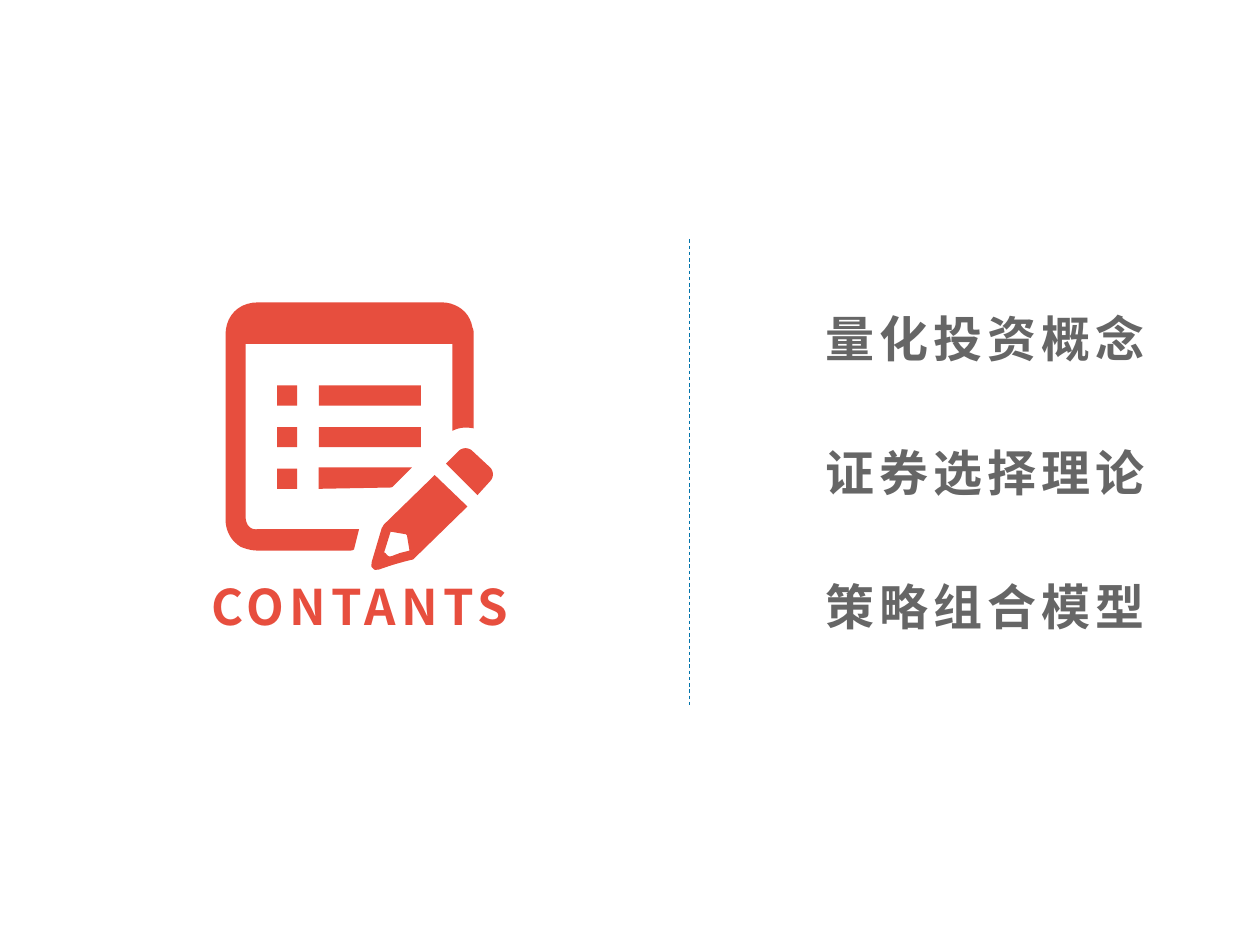
from lxml.etree import SubElement
from pptx import Presentation
from pptx.dml.color import RGBColor
from pptx.enum.dml import MSO_LINE
from pptx.enum.shapes import MSO_CONNECTOR, MSO_SHAPE
from pptx.enum.text import MSO_AUTO_SIZE, PP_ALIGN
from pptx.oxml.ns import qn
from pptx.util import Inches, Pt

COLORS = {"accent": "E74E3E", "text": "666666", "divider": "0174AB"}
FONT = "Noto Sans CJK SC"
TITLE = "CONTANTS"
TOPICS = ["量化投资概念", "证券选择理论", "策略组合模型"]

LABEL_WIDTH, LABEL_HEIGHT = 2.91, 0.57
TITLE_LEFT, TOPIC_LEFT = 1.4, 6.45
FIRST_TOP, TOPIC_PITCH = 2.4, 1.065
DIVIDER_X, DIVIDER_TOP, DIVIDER_BOTTOM = 5.47, 1.9, 5.6

# Icon list: bullet and bar share a row; the third bar is cut off by the pencil.
BULLET_LEFT, BAR_LEFT, BAR_WIDTH, MARK_SIZE = 2.2, 2.53, 0.81, 0.16
ROW_TOP, ROW_PITCH = 3.06, 0.33

# Outlines in inches: a pair is a corner, six numbers are a cubic curve.
PAGE = [
    (2.85, 4.2), (2.81, 4.36), (2.81, 4.36, 2.8, 4.37, 2.78, 4.37), (2.05, 4.37),
    (2, 4.37, 1.96, 4.36, 1.91, 4.34), (1.83, 4.29, 1.79, 4.21, 1.79, 4.12),
    (1.79, 2.66), (1.79, 2.51, 1.89, 2.4, 2.05, 2.4), (3.5, 2.4),
    (3.63, 2.4, 3.73, 2.48, 3.75, 2.6), (3.76, 2.62, 3.76, 2.64, 3.76, 2.66),
    (3.76, 3.4), (3.7, 3.39, 3.65, 3.39, 3.59, 3.42), (3.59, 2.73), (1.95, 2.73),
    (1.95, 4.1), (1.95, 4.16, 1.98, 4.21, 2.05, 4.2),
]
PENCIL = [
    (3.45, 3.77), (3.71, 4.02), (3.31, 4.41), (3.3, 4.42, 3.29, 4.43, 3.28, 4.44),
    (3.19, 4.46, 3.09, 4.49, 3.01, 4.52), (2.99, 4.52, 2.97, 4.53, 2.96, 4.51),
    (2.94, 4.5, 2.95, 4.48, 2.95, 4.46), (3.03, 4.19),
    (3.04, 4.18, 3.04, 4.17, 3.05, 4.16),
]
PENCIL_TIP = [
    (3.1, 4.22), (3.05, 4.38), (3.05, 4.38, 3.05, 4.39, 3.06, 4.39),
    (3.08, 4.42, 3.09, 4.42, 3.12, 4.41), (3.14, 4.4, 3.15, 4.4, 3.17, 4.39),
    (3.25, 4.37), (3.23, 4.25), (3.22, 4.24),
]
ERASER = [
    (3.54, 3.68), (3.64, 3.58), (3.67, 3.55, 3.72, 3.55, 3.75, 3.58), (3.89, 3.71),
    (3.92, 3.74, 3.92, 3.79, 3.89, 3.82), (3.79, 3.93),
]
CUT_BAR = [
    (2.53, 3.71), (3.27, 3.71), (3.12, 3.86), (3.11, 3.87, 3.1, 3.87, 3.09, 3.87),
    (2.53, 3.88),
]


def color(name):
    return RGBColor.from_string(COLORS[name])


def flatten(outline, steps=10):
    """Turn corners and cubic curves into a list of points in EMU."""
    points = []
    for part in outline:
        if len(part) == 2:
            points.append(part)
            continue
        controls = [points[-1], part[:2], part[2:4], part[4:]]
        for step in range(1, steps + 1):
            t = step / steps
            weights = ((1 - t) ** 3, 3 * t * (1 - t) ** 2, 3 * t * t * (1 - t), t ** 3)
            points.append(tuple(sum(w * point[axis] for w, point in zip(weights, controls))
                                for axis in (0, 1)))
    return [(Inches(x), Inches(y)) for x, y in points]


def paint(shape):
    shape.shadow.inherit = False
    shape.fill.solid()
    shape.fill.fore_color.rgb = color("accent")
    shape.line.fill.background()


def add_outline(shapes, outline, hole=None):
    points = flatten(outline)
    builder = shapes.build_freeform(*points[0])
    builder.add_line_segments(points[1:])
    if hole:
        points = flatten(hole)
        builder.move_to(*points[0])
        builder.add_line_segments(points[1:])
    paint(builder.convert_to_shape())


def add_mark(shapes, left, top, width):
    paint(shapes.add_shape(MSO_SHAPE.RECTANGLE, Inches(left), Inches(top),
                           Inches(width), Inches(MARK_SIZE)))


def add_icon(slide):
    shapes = slide.shapes.add_group_shape().shapes
    add_outline(shapes, PAGE)
    add_outline(shapes, PENCIL, hole=PENCIL_TIP)
    add_outline(shapes, ERASER)
    add_outline(shapes, CUT_BAR)
    for row in range(3):
        top = ROW_TOP + row * ROW_PITCH
        add_mark(shapes, BULLET_LEFT, top, MARK_SIZE)
        if row < 2:
            add_mark(shapes, BAR_LEFT, top, BAR_WIDTH)


def add_label(slide, text, left, top, color_name, alignment):
    box = slide.shapes.add_textbox(Inches(left), Inches(top),
                                   Inches(LABEL_WIDTH), Inches(LABEL_HEIGHT))
    frame = box.text_frame
    frame.word_wrap = True
    frame.auto_size = MSO_AUTO_SIZE.SHAPE_TO_FIT_TEXT
    paragraph = frame.paragraphs[0]
    paragraph.alignment = alignment
    run = paragraph.add_run()
    run.text = text
    font = run.font
    font.name, font.size, font.bold = FONT, Pt(28), True
    font.color.rgb = color(color_name)
    properties = run._r.get_or_add_rPr()
    properties.set("spc", "300")
    SubElement(properties, qn("a:ea")).set("typeface", FONT)


def add_divider(slide):
    line = slide.shapes.add_connector(
        MSO_CONNECTOR.STRAIGHT, Inches(DIVIDER_X), Inches(DIVIDER_TOP),
        Inches(DIVIDER_X), Inches(DIVIDER_BOTTOM))
    line.line.color.rgb = color("divider")
    line.line.width = Pt(0.5)
    line.line.dash_style = MSO_LINE.DASH
    SubElement(line._element.spPr, qn("a:effectLst"))


def main():
    presentation = Presentation()
    presentation.slide_width, presentation.slide_height = Inches(10), Inches(7.5)
    slide = presentation.slides.add_slide(presentation.slide_layouts[6])
    add_divider(slide)
    add_icon(slide)
    title_top = FIRST_TOP + (len(TOPICS) - 1) * TOPIC_PITCH
    add_label(slide, TITLE, TITLE_LEFT, title_top, "accent", PP_ALIGN.CENTER)
    for row, topic in enumerate(TOPICS):
        add_label(slide, topic, TOPIC_LEFT, FIRST_TOP + row * TOPIC_PITCH,
                  "text", PP_ALIGN.LEFT)
    presentation.save("out.pptx")


if __name__ == "__main__":
    main()
